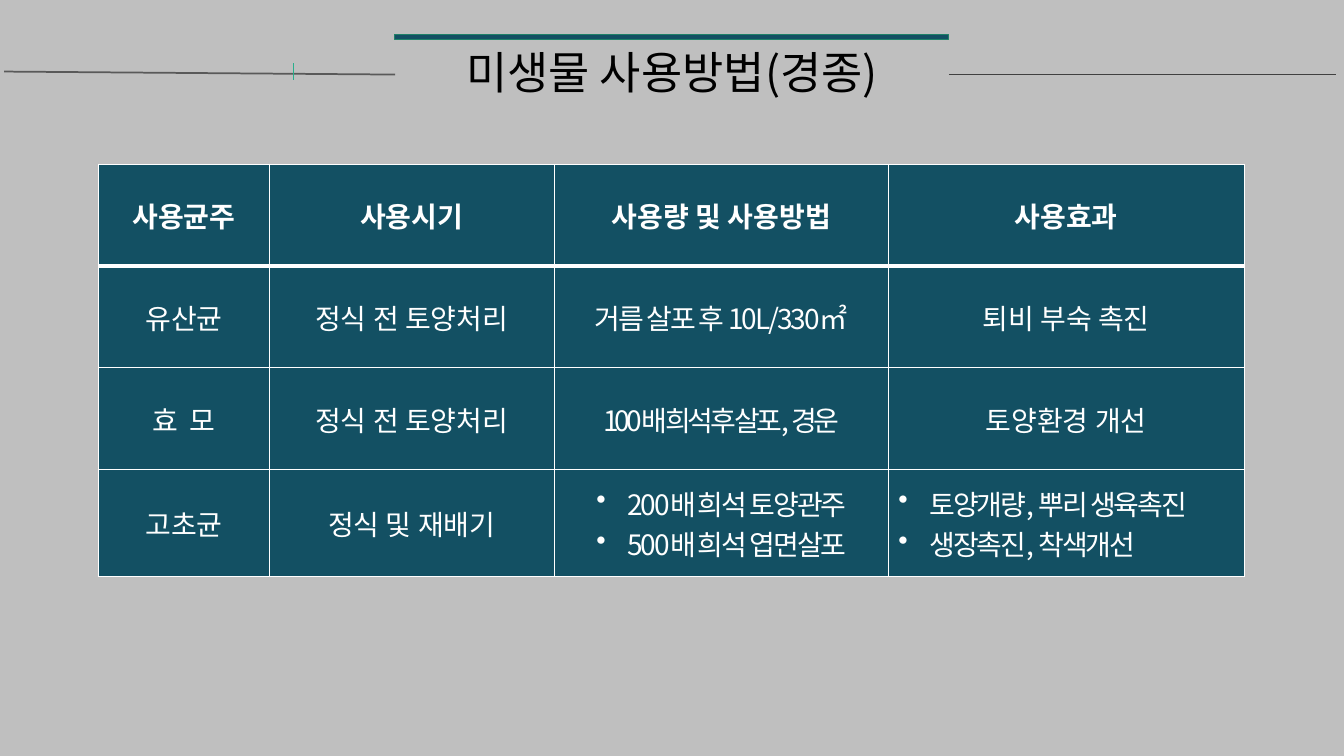
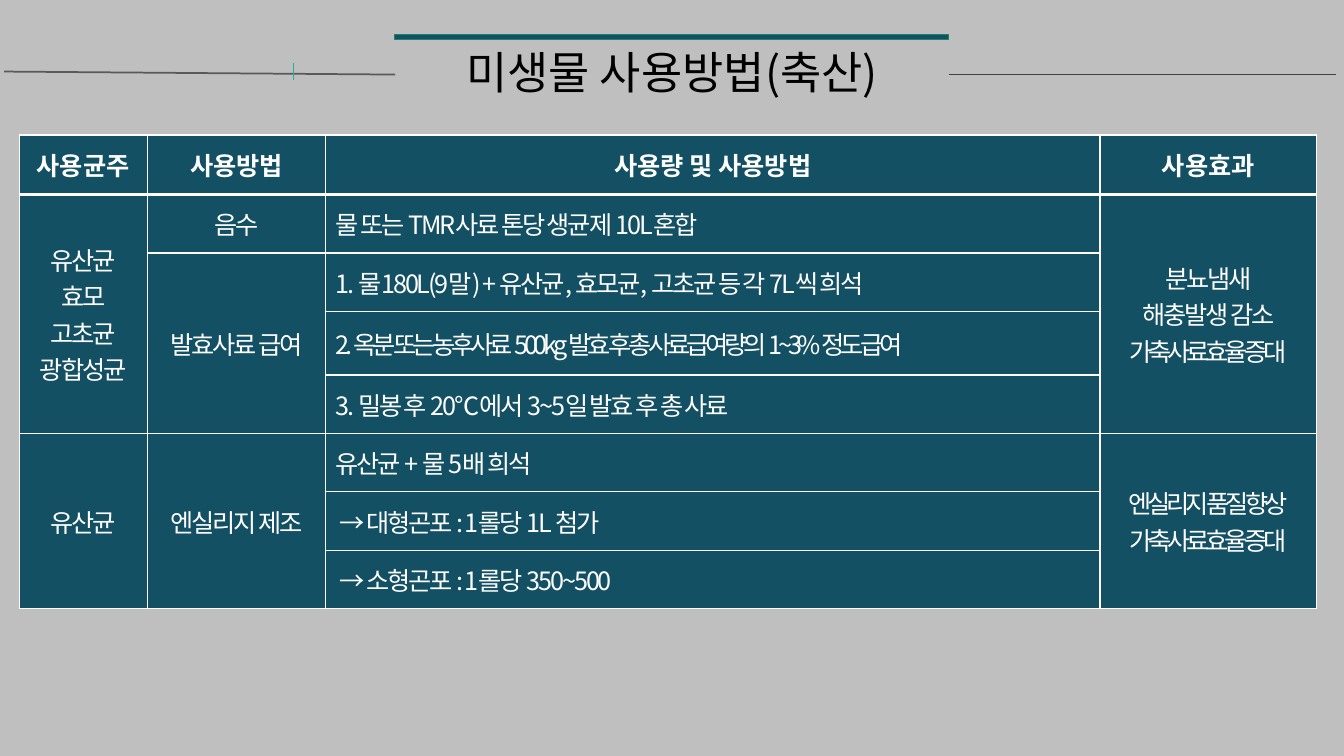
from dataclasses import dataclass

from lxml import etree
from pptx import Presentation
from pptx.dml.color import RGBColor
from pptx.enum.shapes import MSO_CONNECTOR, MSO_SHAPE
from pptx.enum.text import MSO_ANCHOR, PP_ALIGN
from pptx.oxml.ns import qn
from pptx.util import Emu, Pt

LEFT, CENTER = PP_ALIGN.LEFT, PP_ALIGN.CENTER
MIDDLE = MSO_ANCHOR.MIDDLE
RECTANGLE = MSO_SHAPE.RECTANGLE
STRAIGHT = MSO_CONNECTOR.STRAIGHT

GRAY = RGBColor(0xBF, 0xBF, 0xBF)
TEAL = RGBColor(0x13, 0x50, 0x63)
EDGE = RGBColor(0x1E, 0x81, 0x68)
GREEN = RGBColor(0x29, 0xAF, 0x8C)
MID_GRAY = RGBColor(0x59, 0x59, 0x59)
DARK_GRAY = RGBColor(0x40, 0x40, 0x40)
BLACK = RGBColor(0, 0, 0)
WHITE = RGBColor(0xFF, 0xFF, 0xFF)

FONT = "Noto Sans CJK KR"
TIGHT, TIGHTER = -1.5, -3
BULLET_INDENT = 31
ARROW_INDENT = 4
SIDES = ("L", "R", "T", "B")


@dataclass
class Entry:
    lines: tuple
    spacing: float = 0
    align: int = CENTER
    rows: int = 1
    bullet: str = ""
    indent: int = 0


def entry(*lines, **style):
    return Entry(lines, **style)


def step(line, spacing=TIGHT, indent=0):
    return entry(line, spacing=spacing, align=LEFT, indent=indent)


def bullets(*lines, align):
    return entry(*lines, spacing=TIGHT, align=align, bullet="•", indent=BULLET_INDENT)


TITLE_BOX = (392, 39, 549, 70)
TITLE_BAR = (391, 34, 550, 5)
TITLE_LINES = [
    ((4, 71, 392, 74), MID_GRAY, 1.25),
    ((291, 63, 291, 79), GREEN, 0.5),
    ((941, 74, 1325, 74), DARK_GRAY, 1),
]

SLIDES = [
    {
        "title": "미생물 사용방법(경종)",
        "origin": (98, 163),
        "columns": [169, 283, 331, 353],
        "heights": [101, 101, 101, 106],
        "size": 20,
        "header": ["사용균주", "사용시기", "사용량 및 사용방법", "사용효과"],
        "body": [
            [entry("유산균"), entry("정식 전 토양처리"),
             entry("거름 살포 후 10L/330㎡", spacing=TIGHT), entry("퇴비 부숙 촉진")],
            [entry("효 모", spacing=2), entry("정식 전 토양처리"),
             entry("100배 희석 후 살포, 경운", spacing=TIGHTER), entry("토양환경 개선")],
            [entry("고초균"), entry("정식 및 재배기"),
             bullets("200배 희석 토양관주", "500배 희석 엽면살포", align=CENTER),
             bullets("토양개량, 뿌리 생육촉진", "생장촉진, 착색개선", align=LEFT)],
        ],
    },
    {
        "title": "미생물 사용방법(축산)",
        "origin": (19, 134),
        "columns": [127, 177, 768, 215],
        "heights": [59, 58, 58, 63, 58, 58, 58, 58],
        "size": 18,
        "header": ["사용균주", "사용방법", "사용량 및 사용방법", "사용효과"],
        "body": [
            [entry("유산균", "효모", "고초균", "광합성균", spacing=TIGHT, rows=4),
             entry("음수", spacing=TIGHT),
             step("물 또는 TMR사료 톤당 생균제 10L혼합"),
             entry("분뇨냄새", "해충발생 감소", ("가축사료효율 증대", TIGHTER),
                   spacing=TIGHT, rows=4)],
            [None, entry("발효사료 급여", spacing=TIGHT, rows=3),
             step("1. 물180L(9말) + 유산균, 효모균, 고초균 등 각 7L씩 희석"), None],
            [None, None,
             step("2. 옥분 또는 농후사료 500kg 발효 후 총 사료급여량의 1~3%정도 급여", TIGHTER), None],
            [None, None, step("3. 밀봉 후 20℃에서 3~5일 발효 후 총 사료"), None],
            [entry("유산균", spacing=TIGHT, rows=3),
             entry("엔실리지 제조", spacing=TIGHT, rows=3),
             step("유산균 + 물 5배 희석"),
             entry("엔실리지 품질 향상", "가축사료효율 증대", spacing=TIGHTER, rows=3)],
            [None, None, step("→ 대형곤포 : 1롤당 1L 첨가", indent=ARROW_INDENT), None],
            [None, None, step("→ 소형곤포 : 1롤당 350~500", indent=ARROW_INDENT), None],
        ],
    },
]


def px(length):
    return Emu(length * 9144)


def add_span(para, text, size, color, bold=False, spacing=0):
    span = para.add_run()
    span.text = text
    span.font.size = Pt(size)
    span.font.bold = bold
    span.font.color.rgb = color
    span.font.name = FONT
    properties = span._r.get_or_add_rPr()
    etree.SubElement(properties, qn("a:ea")).set("typeface", FONT)
    if spacing:
        properties.set("spc", str(round(spacing * 100)))


def add_line(page, ends, color, width):
    line = page.shapes.add_connector(STRAIGHT, *map(px, ends))
    line.line.color.rgb = color
    line.line.width = Pt(width)
    etree.SubElement(line._element.spPr, qn("a:effectLst"))


def add_heading(page, title):
    bar = page.shapes.add_shape(RECTANGLE, *map(px, TITLE_BAR))
    bar.shadow.inherit = False
    bar.fill.solid()
    bar.fill.fore_color.rgb = TEAL
    bar.line.color.rgb = EDGE
    bar.line.width = Pt(0)
    for ends, color, width in TITLE_LINES:
        add_line(page, ends, color, width)
    frame = page.shapes.add_textbox(*map(px, TITLE_BOX)).text_frame
    frame.word_wrap = True
    frame.vertical_anchor = MIDDLE
    para = frame.paragraphs[0]
    para.alignment = CENTER
    para.line_spacing = 0.9
    add_span(para, title, 32, BLACK)


def style_cell(cell, row):
    properties = cell._tc.get_or_add_tcPr()
    for side in SIDES:
        thick = (row, side) in ((0, "B"), (1, "T"))
        border = etree.SubElement(properties, qn(f"a:ln{side}"))
        border.set("w", str(Pt(3 if thick else 1)))
        fill = etree.SubElement(border, qn("a:solidFill"))
        etree.SubElement(fill, qn("a:srgbClr")).set("val", str(WHITE))
    cell.fill.solid()
    cell.fill.fore_color.rgb = TEAL
    cell.vertical_anchor = MIDDLE


def fill_cell(cell, item, size, bold):
    frame = cell.text_frame
    for index, line in enumerate(item.lines):
        text, spacing = line if isinstance(line, tuple) else (line, item.spacing)
        para = frame.add_paragraph() if index else frame.paragraphs[0]
        para.alignment = item.align
        properties = para._p.get_or_add_pPr()
        if item.indent:
            properties.set("marL", str(px(item.indent)))
        if item.bullet:
            properties.set("indent", str(-px(item.indent)))
            etree.SubElement(properties, qn("a:buChar")).set("char", item.bullet)
        add_span(para, text, size, WHITE, bold, spacing)


def add_grid(page, content):
    columns, heights = content["columns"], content["heights"]
    area = (*content["origin"], sum(columns), sum(heights))
    table = page.shapes.add_table(len(heights), len(columns), *map(px, area)).table
    table.horz_banding = False
    for column, width in zip(table.columns, columns):
        column.width = px(width)
    for row, height in zip(table.rows, heights):
        row.height = px(height)
    grid = [[entry(text) for text in content["header"]], *content["body"]]
    for r, items in enumerate(grid):
        for c, item in enumerate(items):
            cell = table.cell(r, c)
            style_cell(cell, r)
            if item is None:
                continue
            if item.rows > 1:
                cell.merge(table.cell(r + item.rows - 1, c))
            fill_cell(cell, item, content["size"], bold=r == 0)


def main():
    deck = Presentation()
    deck.slide_width, deck.slide_height = px(1333), px(750)
    background = deck.slide_master.background.fill
    background.solid()
    background.fore_color.rgb = GRAY
    for content in SLIDES:
        page = deck.slides.add_slide(deck.slide_layouts[6])
        add_heading(page, content["title"])
        add_grid(page, content)
    deck.save("out.pptx")


if __name__ == "__main__":
    main()
